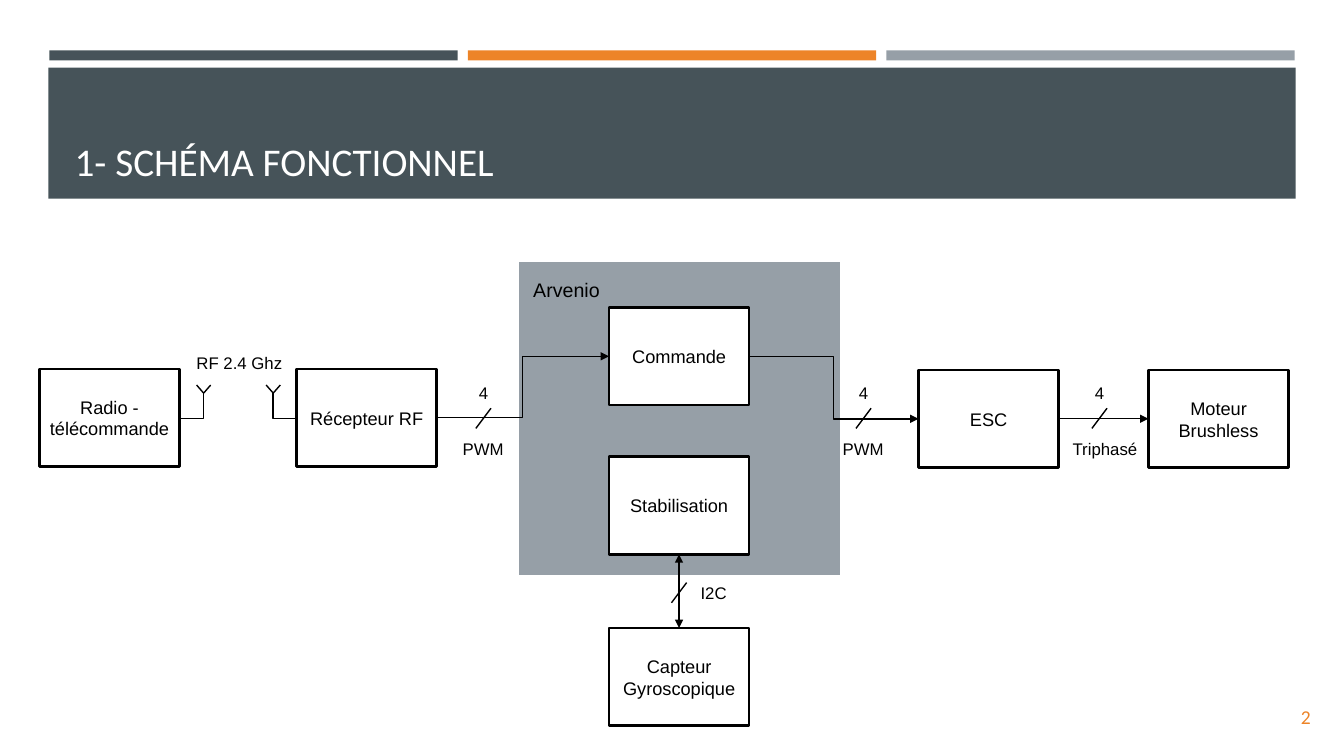
from lxml import etree
from pptx import Presentation
from pptx.dml.color import RGBColor
from pptx.enum import shapes as kinds, text as txt
from pptx.oxml import ns
from pptx.util import Inches, Pt

SLATE = RGBColor(0x46, 0x53, 0x59)
ORANGE = RGBColor(0xED, 0x84, 0x28)
GREY = RGBColor(0x96, 0x9F, 0xA7)
WHITE = RGBColor(0xFF, 0xFF, 0xFF)
BLACK = RGBColor(0, 0, 0)

TITLE = "1- SCHÉMA FONCTIONNEL"
PAGE_NUMBER = "2"
BOARD = "Arvenio"
STRIPES = [SLATE, ORANGE, GREY]
BLOCKS = {
    "Radio - télécommande": (0.39, 3.66),
    "Récepteur RF": (2.94, 3.66),
    "Commande": (6.04, 3.05),
    "Stabilisation": (6.04, 4.53),
    "Capteur Gyroscopique": (6.04, 6.23),
    "ESC": (9.11, 3.67),
    "Moteur Brushless": (11.39, 3.67),
}
BLOCK_W, BLOCK_H = 1.39, 0.97
TOP, LEFT, BOTTOM, RIGHT = range(4)
LINKS = [
    ("Récepteur RF", RIGHT, "Commande", LEFT, "ELBOW", ["tailEnd"]),
    ("Commande", RIGHT, "ESC", LEFT, "ELBOW", ["tailEnd"]),
    ("ESC", RIGHT, "Moteur Brushless", LEFT, "STRAIGHT", ["tailEnd"]),
    ("Capteur Gyroscopique", TOP, "Stabilisation", BOTTOM, "STRAIGHT",
     ["headEnd", "tailEnd"]),
]
BUSES = [("PWM", 4.72, 4.49), ("PWM", 8.49, 8.26), ("Triphasé", 10.83, 10.54)]
WIRE_COUNT = "4"
ANTENNAS = [(1.79, 2.02), (2.94, 2.71)]

prs = Presentation()
prs.slide_width, prs.slide_height = Inches(13.33), Inches(7.5)
slide = prs.slides.add_slide(prs.slide_layouts[5])


def add_box(left, top, width, height, fill, outline=None, weight=0):
    """Draw a flat rectangle, outlined if a colour is given."""
    box = slide.shapes.add_shape(kinds.MSO_SHAPE.RECTANGLE, Inches(left),
                                 Inches(top), Inches(width), Inches(height))
    box.shadow.inherit = False
    box.fill.solid()
    box.fill.fore_color.rgb = fill
    if outline is None:
        box.line.fill.background()
    else:
        box.line.color.rgb = outline
        box.line.width = Pt(weight)
    return box


def write(shape, words, size, color=BLACK, font="Arial",
          align=txt.PP_ALIGN.LEFT, anchor=txt.MSO_ANCHOR.TOP):
    """Put one formatted paragraph into a shape."""
    frame = shape.text_frame
    frame.text = words
    frame.word_wrap = True
    frame.vertical_anchor = anchor
    paragraph = frame.paragraphs[0]
    paragraph.alignment = align
    paragraph.font.size = Pt(size)
    paragraph.font.name = font
    paragraph.font.color.rgb = color
    return frame


def add_label(words, left, top, width, height=0.3, size=12, **style):
    """Add a text box holding one paragraph."""
    label = slide.shapes.add_textbox(Inches(left), Inches(top),
                                     Inches(width), Inches(height))
    return write(label, words, size, **style)


def add_wire(x1, y1, x2, y2, route="STRAIGHT", arrows=()):
    """Draw a thin black connector with optional arrowheads."""
    wire = slide.shapes.add_connector(kinds.MSO_CONNECTOR[route], Inches(x1),
                                      Inches(y1), Inches(x2), Inches(y2))
    wire.line.color.rgb = BLACK
    wire.line.width = Pt(1)
    properties = wire._element.spPr
    for end in arrows:
        etree.SubElement(properties.find(ns.qn("a:ln")), ns.qn("a:" + end),
                         type="triangle")
    etree.SubElement(properties, ns.qn("a:effectLst"))
    return wire


def add_slash(left, top):
    """Mark a wire as a bus with a short oblique stroke."""
    add_wire(left + 0.15, top, left, top + 0.2)


for column, color in enumerate(STRIPES):
    add_box(0.49 + 4.15 * column, 0.5, 4.05, 0.1, color)
add_box(0.48, 0.67, 12.37, 1.3, SLATE)
add_box(5.13, 2.59, 3.22, 3.13, GREY, WHITE, 2)

title = slide.shapes.title
title.left, title.top = Inches(0.64), Inches(0.77)
title.width, title.height = Inches(12.06), Inches(1.11)
write(title, TITLE, 28, WHITE, "Calibri", anchor=txt.MSO_ANCHOR.BOTTOM)
slide.shapes._spTree.append(title._element)

add_label(PAGE_NUMBER, 11.95, 6.91, 1.15, 0.4, 14, color=ORANGE, font="Calibri",
          align=txt.PP_ALIGN.RIGHT, anchor=txt.MSO_ANCHOR.MIDDLE)
add_label(BOARD, 5.19, 2.71, 1.31, 0.34, 14)

blocks = {}
for name, (left, top) in BLOCKS.items():
    blocks[name] = add_box(left, top, BLOCK_W, BLOCK_H, WHITE, BLACK, 1.75)
    frame = write(blocks[name], name, 13, align=txt.PP_ALIGN.CENTER,
                  anchor=txt.MSO_ANCHOR.MIDDLE)
    frame.margin_left = frame.margin_right = Inches(0.05)

for source, source_side, target, target_side, route, arrows in LINKS:
    link = add_wire(0, 0, 0, 0, route, arrows)
    link.begin_connect(blocks[source], source_side)
    link.end_connect(blocks[target], target_side)

for signal, slash_left, signal_left in BUSES:
    add_slash(slash_left, 4.05)
    count = add_label(WIRE_COUNT, slash_left, 3.75, 0.15,
                      align=txt.PP_ALIGN.CENTER)
    count.margin_left = count.margin_right = 0
    add_label(signal, signal_left, 4.3, 0.89)
add_slash(6.66, 5.78)
add_label("I2C", 6.85, 5.73, 0.72)

for block_edge, mast in ANTENNAS:
    feed = add_wire(block_edge, 4.15, mast, 3.9, "ELBOW")
    feed._element.spPr.find(ns.qn("a:prstGeom")).set("prst", "bentConnector2")
    for spread in (-0.07, 0.07):
        add_wire(mast, 3.9, mast + spread, 3.82)
add_label("RF 2.4 Ghz", 1.85, 3.45, 1.32)

prs.save("out.pptx")
